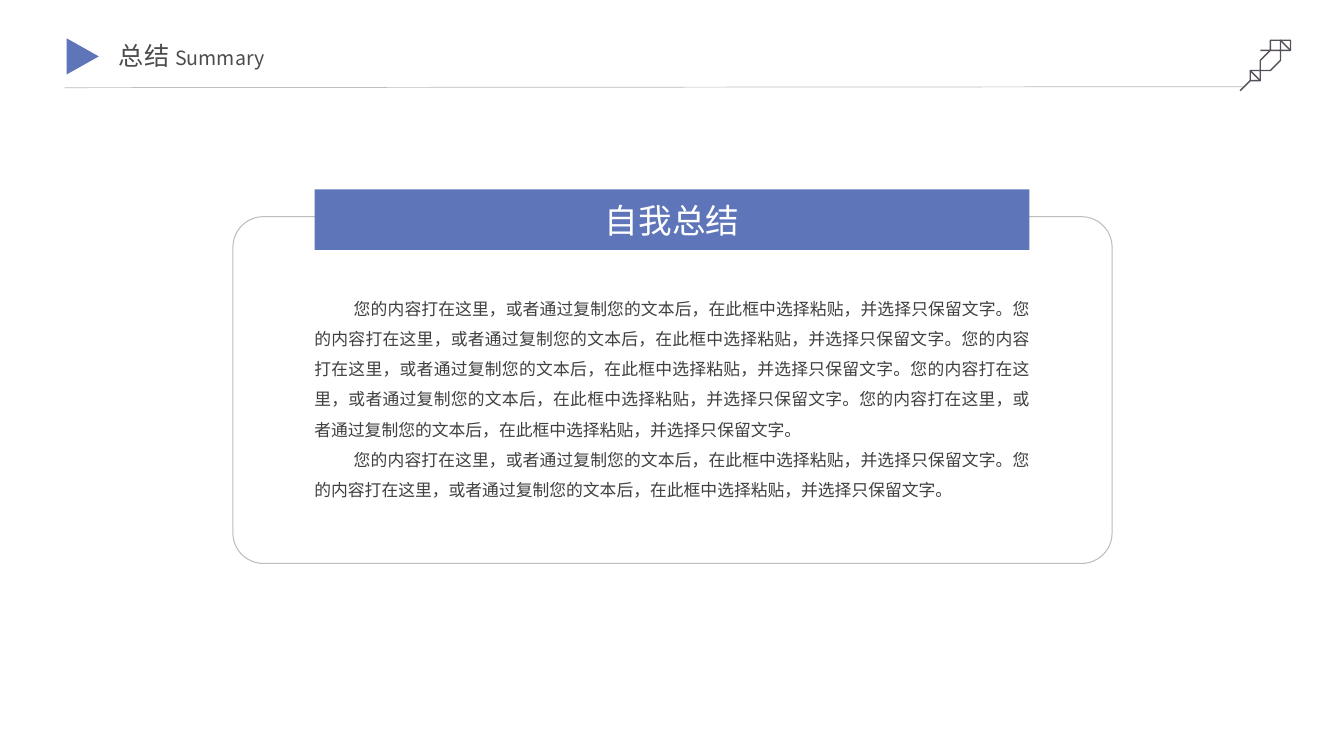
from dataclasses import dataclass

from lxml.etree import SubElement
from pptx import Presentation
from pptx.dml.color import RGBColor
from pptx.enum.shapes import MSO_CONNECTOR, MSO_SHAPE
from pptx.enum.text import MSO_ANCHOR, PP_ALIGN
from pptx.oxml.ns import qn
from pptx.util import Inches, Pt

CELL = Inches(0.1)  # the grid has 133.33 columns and 75 rows


@dataclass(frozen=True)
class Theme:
    font: str = "Noto Sans CJK SC"
    accent: str = "5E75BA"
    rule: str = "BABEBD"
    pen: str = "56505B"
    title: str = "4C4C4C"
    body: str = "404040"
    white: str = "FFFFFF"
    title_size: float = 18
    subtitle_size: float = 14
    banner_size: float = 24
    body_size: float = 12


@dataclass(frozen=True)
class Area:
    """A place on the grid, in columns and rows."""
    column: float
    row: float
    columns: float
    rows: float

    def emu(self) -> tuple:
        return tuple(round(n * CELL) for n in
                     (self.column, self.row, self.columns, self.rows))


@dataclass(frozen=True)
class Block:
    kind: MSO_SHAPE
    area: Area
    fill: str = ""
    line: str = ""
    rotation: float = 0
    corner: float = 0


@dataclass(frozen=True)
class Stroke:
    """A start point, then straight (x, y) or cubic (6 numbers) steps."""
    start: tuple
    steps: tuple
    closed: bool = False


THEME = Theme()
TITLE = Area(10.8, 3.8, 16.8, 4)
BODY = Area(30.2, 28.1, 73, 22.2)
MARKER = Block(MSO_SHAPE.ISOSCELES_TRIANGLE, Area(6.4, 4, 3.6, 3.2),
               fill=THEME.accent, rotation=90)
FRAME = Block(MSO_SHAPE.ROUNDED_RECTANGLE, Area(23.1, 21.5, 87.2, 34.4),
              line=THEME.rule, corner=0.088)
BANNER = Block(MSO_SHAPE.RECTANGLE, Area(31.2, 18.8, 70.9, 6), fill=THEME.accent)

PEN = (
    Stroke((125.2, 7.5), ((124.5, 6.8),)),  # bands
    Stroke((124.7, 6.6), ((125.4, 7.3),)),
    Stroke((127.8, 4.2), (  # barrel
        (127.5, 4, 126.4, 4.7, 125.2, 5.9), (124.3, 6.8, 123.6, 7.8, 123.5, 8.2),
        (123.8, 8.5), (124.2, 8.4, 125.2, 7.7, 126.1, 6.8),
        (127.3, 5.6, 128, 4.5, 127.8, 4.2)), closed=True),
    Stroke((123.6, 8.4), ((123.4, 8.6),)),  # nib
    Stroke((127.7, 4.9), ((127.1, 4.3), (127.1, 4.3, 126.6, 4, 125.3, 5.2))),  # clip
)

SENTENCE = "您的内容打在这里，或者通过复制您的文本后，在此框中选择粘贴，并选择只保留文字。"
SENTENCES_PER_PARAGRAPH = (5, 2)


def write(paragraph, text: str, *, size: float, color: str,
          align=None, spacing=None, indent: float = 0) -> None:
    """Add a run to a paragraph and format both."""
    if indent:
        properties = paragraph._p.get_or_add_pPr()
        properties.set("marL", "0")
        properties.set("indent", str(Inches(indent)))
    if align is not None:
        paragraph.alignment = align
    if spacing is not None:
        paragraph.line_spacing = spacing
    run = paragraph.add_run()
    run.text = text
    run.font.size = Pt(size)
    run.font.name = THEME.font
    run.font.color.rgb = RGBColor.from_string(color)
    SubElement(run._r.get_or_add_rPr(), qn("a:ea")).set("typeface", THEME.font)


def paint(shape, fill: str = "", line: str = "", width: float = 0.75) -> None:
    shape.shadow.inherit = False
    if fill:
        shape.fill.solid()
        shape.fill.fore_color.rgb = RGBColor.from_string(fill)
    else:
        shape.fill.background()
    if line:
        shape.line.color.rgb = RGBColor.from_string(line)
        shape.line.width = Pt(width)
    else:
        shape.line.fill.background()


def draw_block(slide, block: Block):
    shape = slide.shapes.add_shape(block.kind, *block.area.emu())
    if block.corner:
        shape.adjustments[0] = block.corner
    shape.rotation = block.rotation
    paint(shape, block.fill, block.line)
    return shape


def curve(start: tuple, step: tuple, pieces: int = 12) -> list:
    """Points along a cubic curve, without its start."""
    knots = [start, step[:2], step[2:4], step[4:]]
    points = []
    for t in (n / pieces for n in range(1, pieces + 1)):
        weights = ((1 - t) ** 3, 3 * t * (1 - t) ** 2, 3 * t * t * (1 - t), t ** 3)
        points.append(tuple(sum(w * k[axis] for w, k in zip(weights, knots))
                            for axis in (0, 1)))
    return points


def draw_pen(slide) -> None:
    builder = slide.shapes.build_freeform(*PEN[0].start, scale=CELL)
    for stroke in PEN:
        builder.move_to(*stroke.start)
        points = [stroke.start]
        for step in stroke.steps:
            points += [step] if len(step) == 2 else curve(points[-1], step)
        builder.add_line_segments(points[1:], close=stroke.closed)
    paint(builder.convert_to_shape(), line=THEME.pen, width=1)


def draw_rule(slide) -> None:
    ends = (round(n * CELL) for n in (6.4, 8.7, 123.4, 8.6))
    rule = slide.shapes.add_connector(MSO_CONNECTOR.STRAIGHT, *ends)
    rule.line.color.rgb = RGBColor.from_string(THEME.rule)
    rule.line.width = Pt(0.5)
    SubElement(rule._element.spPr, qn("a:effectLst"))


def draw_title(slide) -> None:
    title = slide.shapes.title
    title.left, title.top, title.width, title.height = TITLE.emu()
    frame = title.text_frame
    frame.word_wrap = True
    frame.vertical_anchor = MSO_ANCHOR.TOP
    heading = frame.paragraphs[0]
    write(heading, "总结 ", size=THEME.title_size, color=THEME.title,
          align=PP_ALIGN.LEFT, spacing=0.9)
    write(heading, "Summary", size=THEME.subtitle_size, color=THEME.title)


def draw_body(slide) -> None:
    frame = slide.shapes.add_textbox(*BODY.emu()).text_frame
    frame.word_wrap = True
    for index, count in enumerate(SENTENCES_PER_PARAGRAPH):
        paragraph = frame.add_paragraph() if index else frame.paragraphs[0]
        write(paragraph, SENTENCE * count, size=THEME.body_size, color=THEME.body,
              align=PP_ALIGN.JUSTIFY, spacing=1.5, indent=0.39)


def main() -> None:
    deck = Presentation()
    deck.slide_width, deck.slide_height = Inches(13.33), Inches(7.5)
    slide = deck.slides.add_slide(deck.slide_layouts[5])

    # Header
    draw_title(slide)
    draw_rule(slide)
    draw_pen(slide)
    draw_block(slide, MARKER)

    # Summary panel
    draw_block(slide, FRAME)
    banner = draw_block(slide, BANNER).text_frame
    banner.vertical_anchor = MSO_ANCHOR.MIDDLE
    write(banner.paragraphs[0], "自我总结", size=THEME.banner_size,
          color=THEME.white, align=PP_ALIGN.CENTER)
    draw_body(slide)

    deck.save("out.pptx")


if __name__ == "__main__":
    main()
